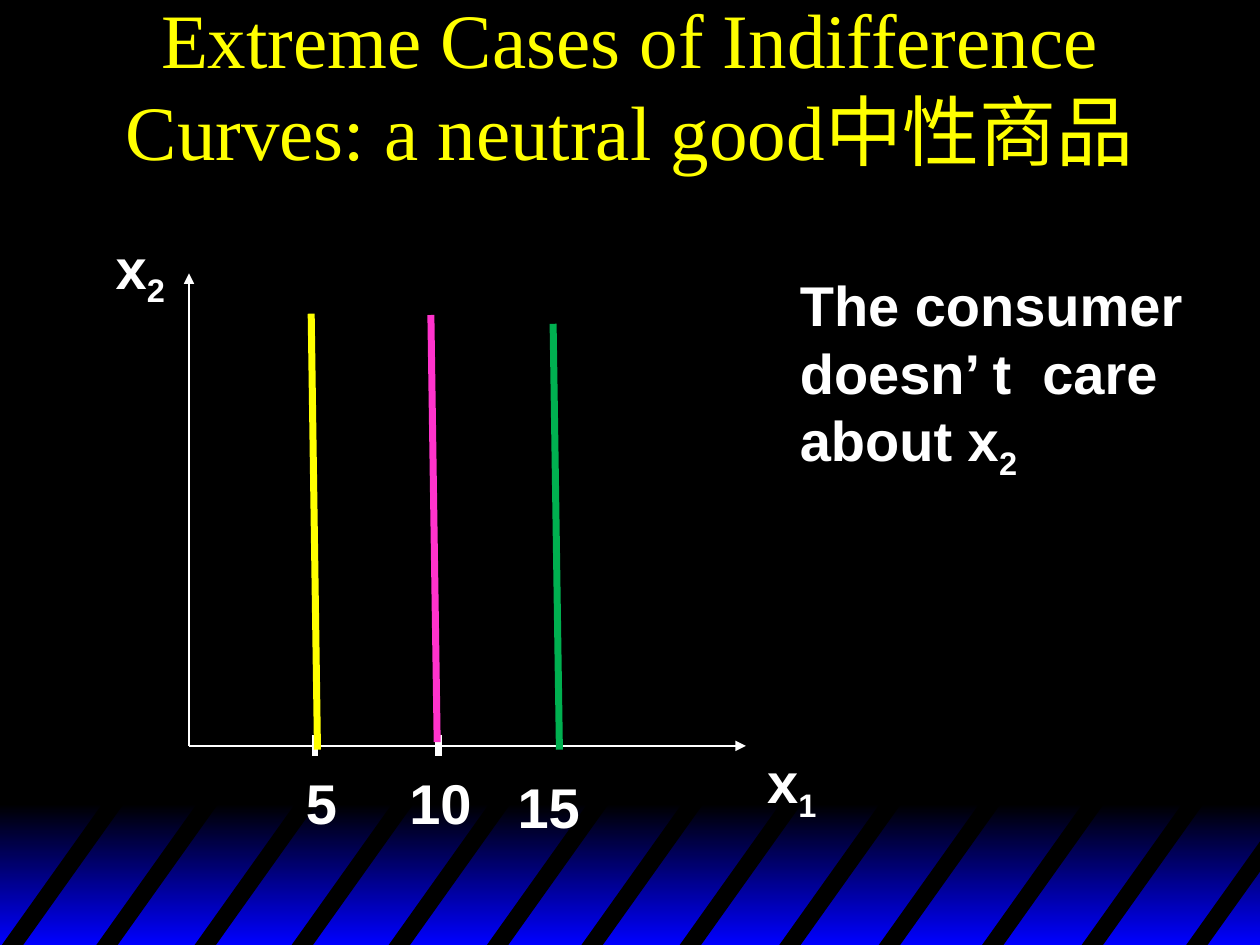
from dataclasses import dataclass

from pptx import Presentation
from pptx.dml.color import RGBColor
from pptx.enum.shapes import MSO_CONNECTOR as Connector, MSO_SHAPE as Shape
from pptx.enum.text import MSO_ANCHOR as Anchor, MSO_AUTO_SIZE as AutoSize, PP_ALIGN as Align
from pptx.oxml.ns import qn
from pptx.util import Pt
from lxml.etree import SubElement

PX = 9144


@dataclass(frozen=True)
class Theme:
    black: str = "000000"
    blue: str = "0000FF"
    white: str = "FFFFFF"
    yellow: str = "FFFF00"
    pink: str = "FF33CC"
    green: str = "00B050"
    title_font: str = "Times New Roman"
    label_font: str = "Arial"
    title_size: int = 44
    label_size: int = 32
    axis_width: int = 1
    curve_width: int = 4


THEME = Theme()


def color(code):
    return RGBColor.from_string(code)


def emu(*lengths):
    return [length * PX for length in lengths]


def style(font, name, size, code, bold=False):
    font.name = name
    font.size = Pt(size)
    font.bold = bold
    font.color.rgb = color(code)


def add_line(page, start, end, code, width, arrow=False):
    line = page.shapes.add_connector(Connector.STRAIGHT, *emu(*start, *end))
    line.line.color.rgb = color(code)
    line.line.width = Pt(width)
    properties = line.element.spPr
    if arrow:
        SubElement(properties.find(qn("a:ln")), qn("a:tailEnd"), type="triangle")
    SubElement(properties, qn("a:effectLst"))


def add_label(page, bounds, text, subscript="", wrap=False):
    box = page.shapes.add_textbox(*emu(*bounds))
    frame = box.text_frame
    frame.word_wrap = wrap
    frame.auto_size = AutoSize.SHAPE_TO_FIT_TEXT
    para = frame.paragraphs[0]
    para.text = text
    if subscript:
        span = para.add_run()
        span.text = subscript
        span.font._element.set("baseline", "-25000")
    for span in para.runs:
        style(span.font, THEME.label_font, THEME.label_size, THEME.white, bold=True)


def draw_title(page, bounds):
    title = page.shapes.title
    title.left, title.top, title.width, title.height = emu(*bounds)
    frame = title.text_frame
    frame.text = "Extreme Cases of Indifference Curves: a neutral good中性商品"
    frame.word_wrap = True
    frame.auto_size = AutoSize.NONE
    frame.vertical_anchor = Anchor.MIDDLE
    para = frame.paragraphs[0]
    para.alignment = Align.CENTER
    style(para.runs[0].font, THEME.title_font, THEME.title_size, THEME.yellow)


def draw_footer(page, bounds):
    left, top, width, height = bounds
    group = page.shapes.add_group_shape()
    band = group.shapes.add_shape(Shape.RECTANGLE, *emu(*bounds))
    band.shadow.inherit = False
    band.line.fill.background()
    band.fill.gradient()
    band.fill.gradient_angle = 270
    for stop, position, code in zip(band.fill.gradient_stops, (0, 1), (THEME.black, THEME.blue)):
        stop.position = position
        stop.color.rgb = color(code)

    high, low, right = top - 4, top + height + 2, left + width
    slant, thickness = 84, 17
    slope = (low - high) / slant
    for offset in (0, 75, 153, 230, 307, 385, 460, 538, 617, 696, 778, 857, 940):
        foot = left + offset
        inner_top = min(foot + slant, right)
        outer_top = min(foot + slant + thickness, right)
        corners = [
            (inner_top, low - (inner_top - foot) * slope),
            (outer_top, low - (outer_top - foot - thickness) * slope),
            (foot + thickness, low),
        ]
        builder = group.shapes.build_freeform(foot, low, scale=PX)
        builder.add_line_segments(corners, close=True)
        stripe = builder.convert_to_shape()
        stripe.shadow.inherit = False
        stripe.fill.solid()
        stripe.fill.fore_color.rgb = color(THEME.black)
        stripe.line.fill.background()


def draw_graph(page, bounds):
    left, top, width, height = bounds
    base = top + height
    origin = (left, base)
    for tip in ((left, top), (left + width, base)):
        add_line(page, origin, tip, THEME.white, THEME.axis_width, arrow=True)
    add_label(page, (left - 68, top - 37, 59, 71), "x", "2")
    add_label(page, (left + width + 7, base - 4, 59, 71), "x", "1")

    for tick in (100, 198):
        add_line(page, (left + tick, base - 9), (left + tick, base + 8),
                 THEME.white, THEME.curve_width)

    curves = (
        (97, 32, 3, THEME.yellow),
        (192, 33, -3, THEME.pink),
        (289, 40, 3, THEME.green),
    )
    for x, drop, overshoot, code in curves:
        add_line(page, (left + x, top + drop), (left + x + 5, base + overshoot),
                 code, THEME.curve_width)

    for x, gap, label_width, text in ((83, 13, 51, "5"), (165, 13, 70, "10"), (251, 16, 70, "15")):
        add_label(page, (left + x, base + gap, label_width, 63), text)


def draw_remark(page, bounds):
    add_label(page, bounds, "The consumer doesn’ t  care about x", "2", wrap=True)


def main():
    deck = Presentation()
    deck.slide_width, deck.slide_height = emu(1000, 750)
    page = deck.slides.add_slide(deck.slide_layouts[5])
    page.background.fill.solid()
    page.background.fill.fore_color.rgb = color(THEME.black)
    draw_footer(page, (0, 638, 1002, 112))
    draw_title(page, (75, 0, 850, 133))
    draw_graph(page, (150, 217, 442, 375))
    draw_remark(page, (625, 210, 384, 178))
    deck.save("out.pptx")


if __name__ == "__main__":
    main()
